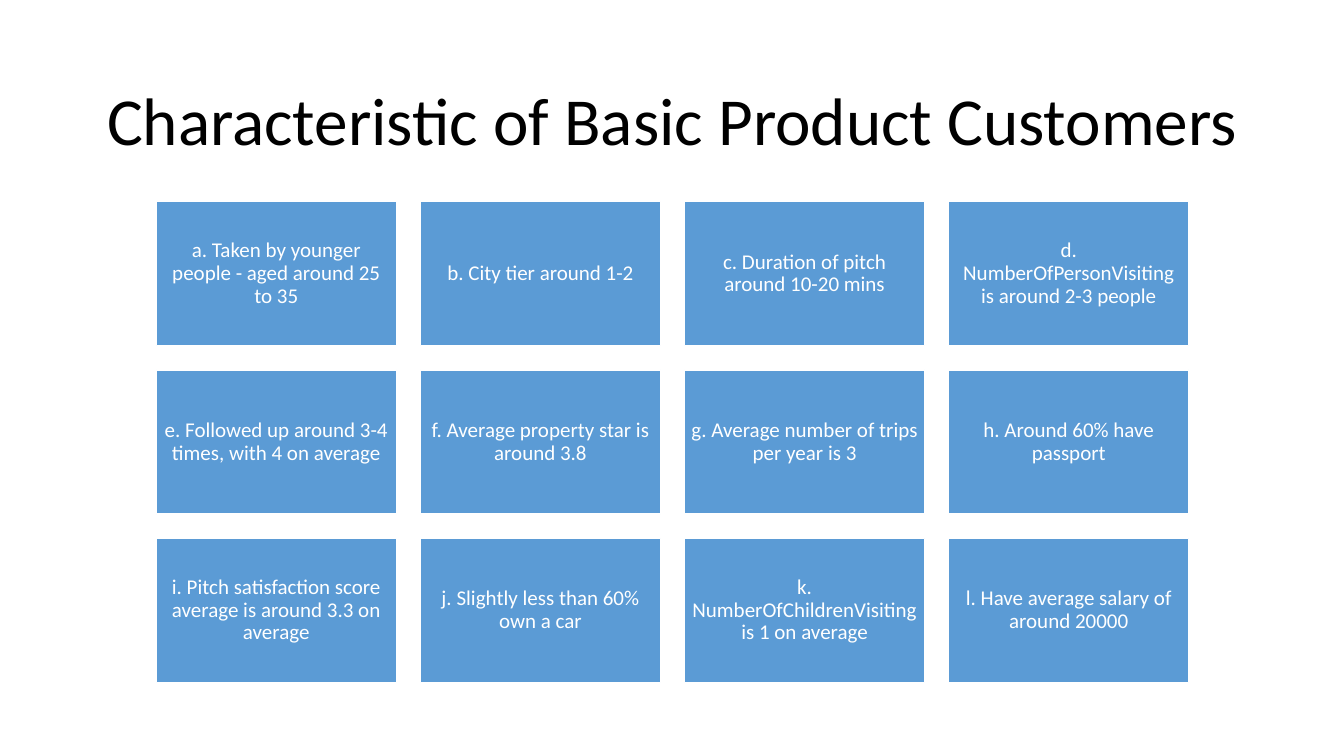
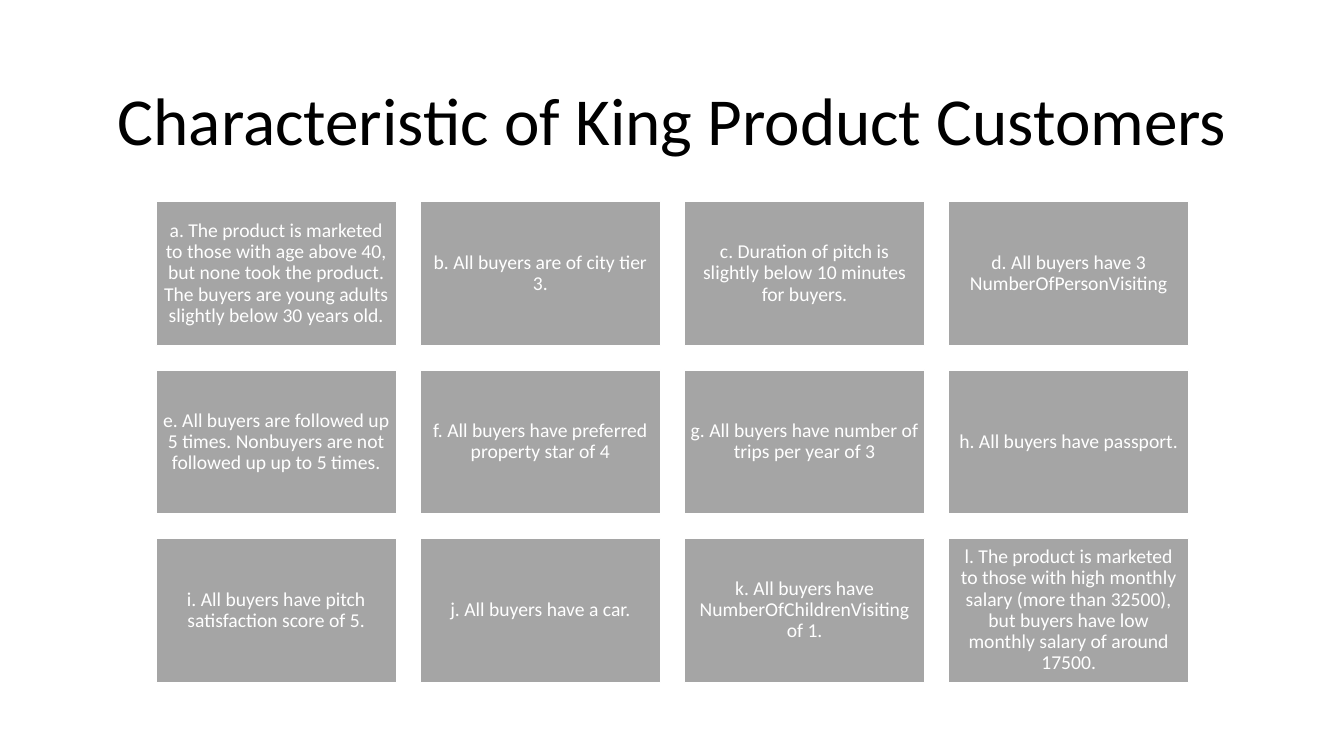
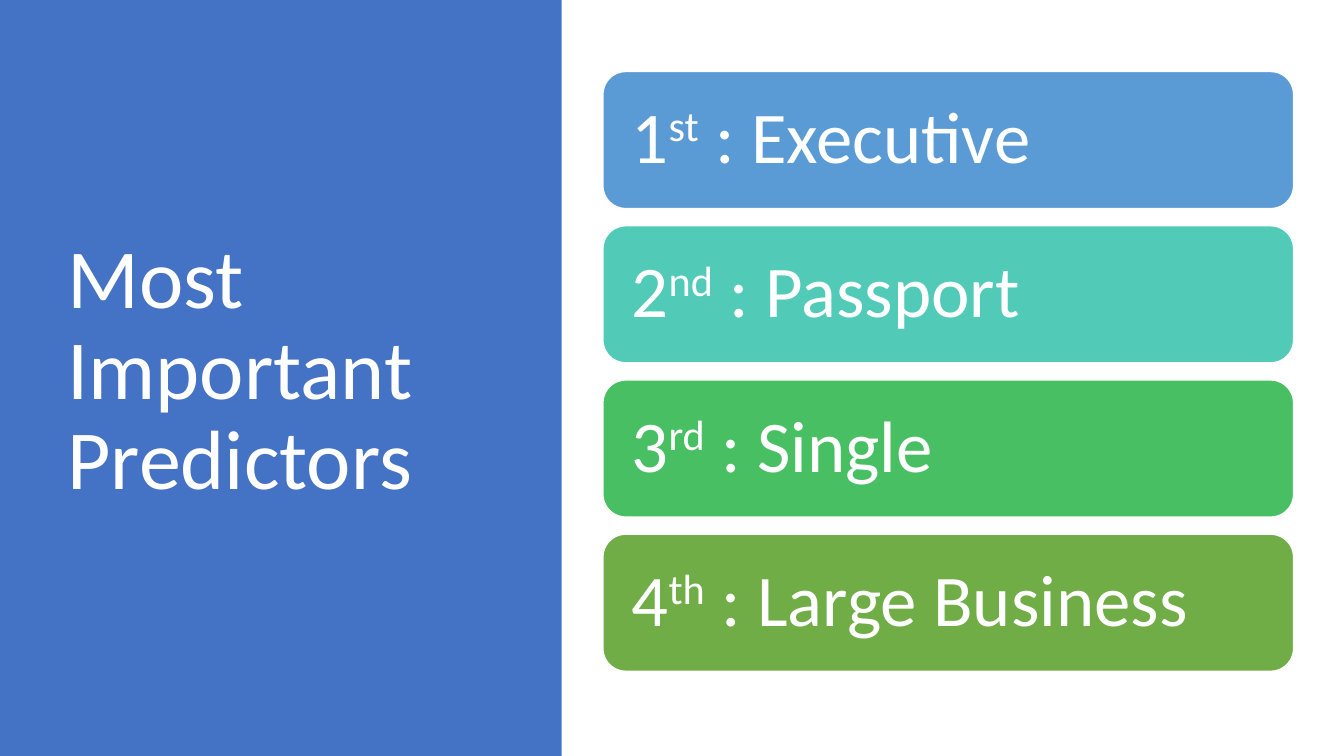
from dataclasses import dataclass

from pptx import Presentation
from pptx.dml.color import RGBColor
from pptx.enum.shapes import MSO_SHAPE
from pptx.enum.text import MSO_ANCHOR, MSO_AUTO_SIZE, PP_ALIGN
from pptx.presentation import Presentation as Deck
from pptx.shapes.autoshape import Shape
from pptx.slide import Slide
from pptx.text.text import TextFrame
from pptx.util import Inches, Pt

FONT = "Calibri"
COLORS = {
    "black": "000000",
    "white": "FFFFFF",
    "panel": "4472C4",
    "blue": "5B9BD5",
    "gray": "A5A5A5",
    "teal": "52CAB8",
    "green": "49BF64",
    "olive": "70AD47",
}
TITLE_ONLY = 5
GRID_COLUMNS = 4


@dataclass(frozen=True)
class Box:
    left: float
    top: float
    width: float
    height: float


@dataclass(frozen=True)
class TextStyle:
    size: float
    color: str = "white"
    alignment: PP_ALIGN = PP_ALIGN.LEFT
    inset: float | None = None
    space_after: float = 0


@dataclass(frozen=True)
class TextRun:
    text: str
    superscript: bool = False


@dataclass(frozen=True)
class CustomerSlide:
    title: str
    color: str
    text_size: float
    facts: tuple[str, ...]


@dataclass(frozen=True)
class Predictor:
    rank: str
    suffix: str
    name: str
    color: str


CUSTOMER_SLIDES = (
    CustomerSlide("Characteristic of Basic Product Customers", "blue", 15, (
        "a. Taken by younger people - aged around 25 to 35",
        "b. City tier around 1-2",
        "c. Duration of pitch around 10-20 mins",
        "d. NumberOfPersonVisiting is around 2-3 people",
        "e. Followed up around 3-4 times, with 4 on average",
        "f. Average property star is around 3.8",
        "g. Average number of trips per year is 3",
        "h. Around 60% have passport",
        "i. Pitch satisfaction score average is around 3.3 on average",
        "j. Slightly less than 60% own a car",
        "k. NumberOfChildrenVisiting is 1 on average",
        "l. Have average salary of around 20000",
    )),
    CustomerSlide("Characteristic of King Product Customers", "gray", 14, (
        "a. The product is marketed to those with age above 40, but none took the product. "
        "The buyers are young adults slightly below 30 years old.",
        "b. All buyers are of city tier 3.",
        "c. Duration of pitch is slightly below 10 minutes for buyers.",
        "d. All buyers have 3 NumberOfPersonVisiting",
        "e. All buyers are followed up 5 times. Nonbuyers are not followed up up to 5 times.",
        "f. All buyers have preferred property star of 4",
        "g. All buyers have number of trips per year of 3",
        "h. All buyers have passport.",
        "i. All buyers have pitch satisfaction score of 5.",
        "j. All buyers have a car.",
        "k. All buyers have NumberOfChildrenVisiting of 1.",
        "l. The product is marketed to those with high monthly salary (more than 32500), "
        "but buyers have low monthly salary of around 17500.",
    )),
)

PREDICTORS = (
    Predictor("1", "st", "Executive", "blue"),
    Predictor("2", "nd", "Passport", "teal"),
    Predictor("3", "rd", "Single", "green"),
    Predictor("4", "th", "Large Business", "olive"),
)


def rgb(name: str) -> RGBColor:
    return RGBColor.from_string(COLORS[name])


def write_text(frame: TextFrame, runs: list[TextRun], style: TextStyle) -> None:
    frame.word_wrap = True
    frame.auto_size = MSO_AUTO_SIZE.NONE
    frame.vertical_anchor = MSO_ANCHOR.MIDDLE
    if style.inset is not None:
        frame.margin_left = frame.margin_right = Inches(style.inset)
        frame.margin_top = frame.margin_bottom = Inches(style.inset)
    paragraph = frame.paragraphs[0]
    paragraph.alignment = style.alignment
    paragraph.line_spacing = 0.9
    paragraph.space_after = Pt(style.space_after)
    for text_run in runs:
        run = paragraph.add_run()
        run.text = text_run.text
        run.font.name = FONT
        run.font.size = Pt(style.size)
        run.font.color.rgb = rgb(style.color)
        if text_run.superscript:
            run.font._element.set("baseline", "30000")


def add_title_slide(presentation: Deck, title: str, box: Box, style: TextStyle) -> Slide:
    slide = presentation.slides.add_slide(presentation.slide_layouts[TITLE_ONLY])
    placeholder = slide.shapes.title
    placeholder.left, placeholder.top = Inches(box.left), Inches(box.top)
    placeholder.width, placeholder.height = Inches(box.width), Inches(box.height)
    write_text(placeholder.text_frame, [TextRun(title)], style)
    return slide


def add_block(slide: Slide, kind: MSO_SHAPE, box: Box, color: str, outlined: bool = True) -> Shape:
    shape = slide.shapes.add_shape(
        kind, Inches(box.left), Inches(box.top), Inches(box.width), Inches(box.height)
    )
    shape.shadow.inherit = False
    shape.fill.solid()
    shape.fill.fore_color.rgb = rgb(color)
    if outlined:
        shape.line.color.rgb = rgb("white")
        shape.line.width = Pt(1)
    else:
        shape.line.fill.background()
    return shape


def add_customer_slide(presentation: Deck, content: CustomerSlide) -> None:
    title_style = TextStyle(48, "black", PP_ALIGN.CENTER)
    slide = add_title_slide(presentation, content.title, Box(0.92, 0.61, 11.5, 1.24), title_style)
    fact_style = TextStyle(content.text_size, alignment=PP_ALIGN.CENTER, inset=0.06)
    for index, fact in enumerate(content.facts):
        row, column = divmod(index, GRID_COLUMNS)
        box = Box(1.55 + column * 2.62, 2 + row * 1.67, 2.38, 1.43)
        card = add_block(slide, MSO_SHAPE.RECTANGLE, box, content.color)
        write_text(card.text_frame, [TextRun(fact)], fact_style)


def add_predictor_slide(presentation: Deck) -> None:
    slide = add_title_slide(
        presentation, "Most Important Predictors", Box(0.57, 0.68, 4.16, 6.02), TextStyle(60)
    )
    panel = add_block(slide, MSO_SHAPE.RECTANGLE, Box(0, 0, 5.57, 7.5), "panel", outlined=False)
    slide.shapes.title.element.addprevious(panel.element)
    for index, predictor in enumerate(PREDICTORS):
        box = Box(5.98, 0.71 + index * 1.53, 6.85, 1.36)
        bar = add_block(slide, MSO_SHAPE.ROUNDED_RECTANGLE, box, predictor.color)
        runs = [
            TextRun(predictor.rank),
            TextRun(predictor.suffix, superscript=True),
            TextRun(f" : {predictor.name}"),
        ]
        write_text(bar.text_frame, runs, TextStyle(52, inset=0.22))
        bar.text_frame.margin_left = Inches(0.22)


def main() -> None:
    presentation = Presentation()
    presentation.slide_width = Inches(13.33)
    presentation.slide_height = Inches(7.5)
    for content in CUSTOMER_SLIDES:
        add_customer_slide(presentation, content)
    add_predictor_slide(presentation)
    presentation.save("out.pptx")


if __name__ == "__main__":
    main()
